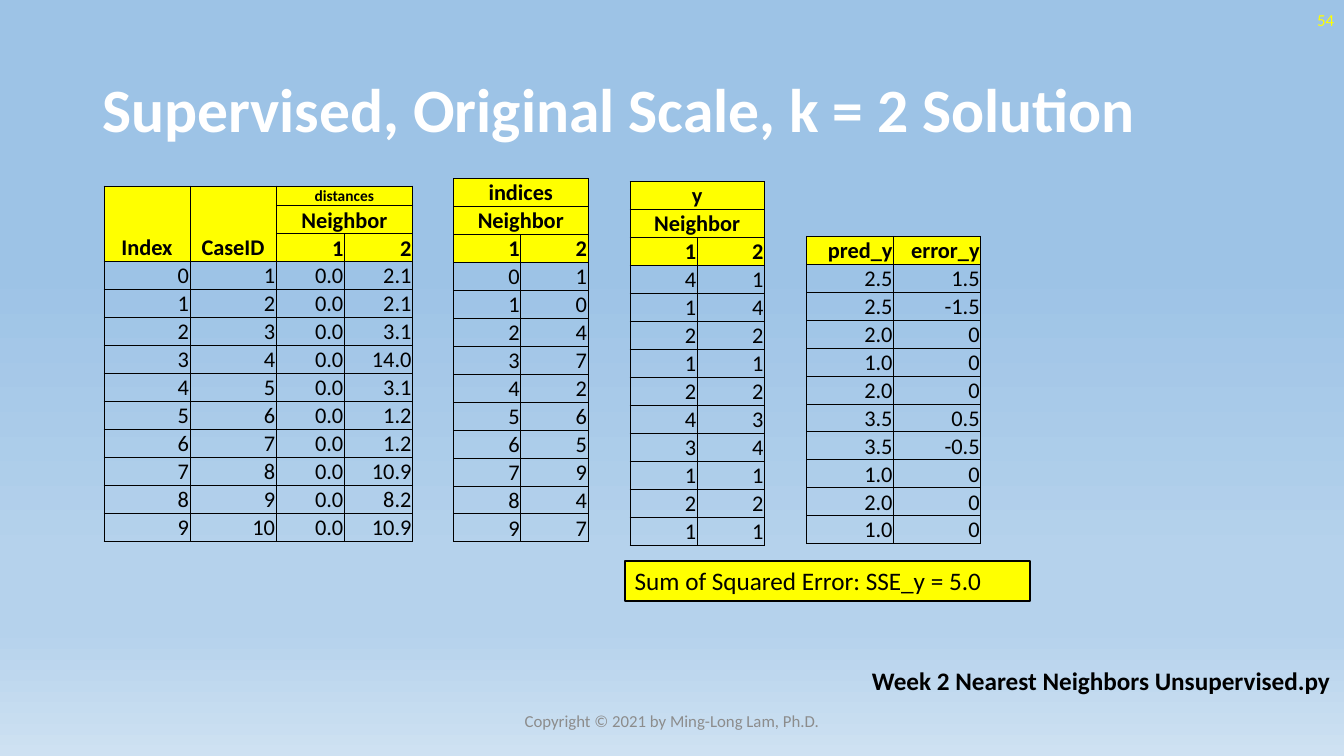
from dataclasses import dataclass

from lxml import etree
from pptx import Presentation
from pptx.dml.color import RGBColor
from pptx.enum.shapes import MSO_SHAPE
from pptx.enum.text import MSO_ANCHOR, MSO_AUTO_SIZE, PP_ALIGN
from pptx.oxml.ns import qn
from pptx.util import Emu, Pt

LEFT, CENTER, RIGHT = PP_ALIGN.LEFT, PP_ALIGN.CENTER, PP_ALIGN.RIGHT
TOP, MIDDLE, BOTTOM = MSO_ANCHOR.TOP, MSO_ANCHOR.MIDDLE, MSO_ANCHOR.BOTTOM
FIT_SHAPE = MSO_AUTO_SIZE.SHAPE_TO_FIT_TEXT
RECTANGLE = MSO_SHAPE.RECTANGLE

FONT = "Calibri"
COLORS = {"black": "000000", "white": "FFFFFF", "yellow": "FFFF00", "grey": "8C8C8C"}
SKY_STOPS = [(35, "9DC3E6"), (74, "B5D2EC"), (83, "B5D2EC"), (100, "CEE1F2")]
ROW_HEIGHT = 26
TABLE_SIZE = 16


@dataclass
class Caption:
    text: str
    box: tuple[int, int, int, int]
    size: int
    color: str = "black"
    bold: bool = False
    align: PP_ALIGN = LEFT
    anchor: MSO_ANCHOR = MIDDLE
    wrap: bool = True
    fit: bool = False
    spacing: float | None = None


@dataclass
class Grid:
    """A table; merges are (first row, first column, last row, last column)."""
    left: int
    top: int
    widths: list[int]
    header: list[list[str]]
    body: list[list[str]]
    merges: tuple = ()
    anchor: MSO_ANCHOR = BOTTOM
    top_row_height: int = ROW_HEIGHT


CAPTIONS = [
    Caption("Supervised, Original Scale, k = 2 Solution", (88, 38, 1104, 139), 44,
            "white", bold=True, spacing=0.9),
    Caption("54", (992, 0, 288, 38), 12, "yellow", align=RIGHT),
    Caption("Week 2 Nearest Neighbors Unsupervised.py", (821, 629, 459, 38), 18,
            bold=True, anchor=TOP, wrap=False, fit=True),
    Caption("Copyright © 2021 by Ming-Long Lam, Ph.D.", (424, 667, 432, 38), 12,
            "grey", align=CENTER),
]
SSE = Caption("Sum of Squared Error: SSE_y = 5.0", (595, 534, 386, 38), 18,
              anchor=TOP, fit=True)

SECOND_DISTANCES = "2.1 2.1 3.1 14.0 3.1 1.2 1.2 10.9 8.2 10.9".split()
SECOND_INDICES = "1 0 4 7 2 6 5 9 4 7".split()
Y = "4 1 2 1 2 4 3 1 2 1".split()
PREDICTIONS = "2.5 2.5 2.0 1.0 2.0 3.5 3.5 1.0 2.0 1.0".split()
ERRORS = "1.5 -1.5 0 0 0 0.5 -0.5 0 0 0".split()
PAIR_MERGES = ((0, 0, 0, 1), (1, 0, 1, 1))


def pair_header(name: str) -> list[list[str]]:
    return [[name, ""], ["Neighbor", ""], ["1", "2"]]


GRIDS = [
    Grid(99, 177, [82, 82, 65, 65],
         [["Index", "CaseID", "distances", ""], ["", "", "Neighbor", ""], ["", "", "1", "2"]],
         [[str(i), str(i + 1), "0.0", d] for i, d in enumerate(SECOND_DISTANCES)],
         ((0, 0, 2, 0), (0, 1, 2, 1), (0, 2, 0, 3), (1, 2, 1, 3)), top_row_height=19),
    Grid(432, 170, [64, 64], pair_header("indices"),
         [[str(i), second] for i, second in enumerate(SECOND_INDICES)],
         PAIR_MERGES, MIDDLE),
    Grid(600, 173, [64, 64], pair_header("y"),
         [[y, Y[int(second)]] for y, second in zip(Y, SECOND_INDICES)], PAIR_MERGES),
    Grid(768, 225, [83, 83], [["pred_y", "error_y"]],
         [list(pair) for pair in zip(PREDICTIONS, ERRORS)]),
]


def px(length: int) -> Emu:
    return Emu(length * 9525)


def rgb(name: str) -> RGBColor:
    return RGBColor.from_string(COLORS[name])


def style_paragraph(paragraph, size: int, color: str, bold: bool, align: PP_ALIGN) -> None:
    paragraph.alignment = align
    for run in paragraph.runs:
        run.font.name, run.font.size, run.font.bold = FONT, Pt(size), bold
        run.font.color.rgb = rgb(color)


def write_caption(shape, caption: Caption) -> None:
    frame = shape.text_frame
    frame.text = caption.text
    frame.word_wrap = caption.wrap
    frame.vertical_anchor = caption.anchor
    if caption.fit:
        frame.auto_size = FIT_SHAPE
    paragraph = frame.paragraphs[0]
    paragraph.line_spacing = caption.spacing
    style_paragraph(paragraph, caption.size, caption.color, caption.bold, caption.align)


def add_borders(cell) -> None:
    properties = cell._tc.get_or_add_tcPr()
    for position, side in enumerate(("lnL", "lnR", "lnT", "lnB")):
        line = etree.Element(qn(f"a:{side}"), w=str(Pt(0.5)))
        fill = etree.SubElement(line, qn("a:solidFill"))
        etree.SubElement(fill, qn("a:srgbClr"), val=COLORS["black"])
        properties.insert(position, line)


def style_cell(cell, text: str, is_header: bool, size: int, anchor: MSO_ANCHOR) -> None:
    cell.margin_left = cell.margin_right = cell.margin_top = px(1)
    cell.margin_bottom = 0
    cell.vertical_anchor = anchor
    if is_header:
        cell.fill.solid()
        cell.fill.fore_color.rgb = rgb("yellow")
    else:
        cell.fill.background()
    add_borders(cell)
    if text:
        cell.text_frame.text = text
        align = CENTER if cell.is_merge_origin else RIGHT
        style_paragraph(cell.text_frame.paragraphs[0], size, "black", is_header, align)


def add_grid(slide, grid: Grid) -> None:
    rows = grid.header + grid.body
    heights = [grid.top_row_height] + [ROW_HEIGHT] * (len(rows) - 1)
    table = slide.shapes.add_table(len(rows), len(grid.widths), px(grid.left), px(grid.top),
                                   px(sum(grid.widths)), px(sum(heights))).table
    table.first_row = table.horz_banding = False
    for column, width in zip(table.columns, grid.widths):
        column.width = px(width)
    for row, height in zip(table.rows, heights):
        row.height = px(height)
    for top, left, bottom, right in grid.merges:
        table.cell(top, left).merge(table.cell(bottom, right))
    for r, texts in enumerate(rows):
        for c, text in enumerate(texts):
            size = 11 if text == "distances" else TABLE_SIZE
            style_cell(table.cell(r, c), text, r < len(grid.header), size, grid.anchor)


def paint_sky(slide) -> None:
    fill = slide.background.fill
    fill.gradient()
    fill.gradient_angle = 270
    stops = next(slide._element.iter(qn("a:gsLst")))
    for stop in list(stops):
        stops.remove(stop)
    for percent, color in SKY_STOPS:
        stop = etree.SubElement(stops, qn("a:gs"), pos=str(percent * 1000))
        etree.SubElement(stop, qn("a:srgbClr"), val=color)


def main() -> None:
    deck = Presentation()
    deck.slide_width, deck.slide_height = px(1280), px(720)
    slide = deck.slides.add_slide(deck.slide_layouts[6])
    paint_sky(slide)
    for caption in CAPTIONS:
        write_caption(slide.shapes.add_textbox(*map(px, caption.box)), caption)
    for grid in GRIDS:
        add_grid(slide, grid)
    sse_box = slide.shapes.add_shape(RECTANGLE, *map(px, SSE.box))
    sse_box.shadow.inherit = False
    sse_box.fill.solid()
    sse_box.fill.fore_color.rgb = rgb("yellow")
    sse_box.line.color.rgb = rgb("black")
    sse_box.line.width = Pt(1.5)
    write_caption(sse_box, SSE)
    deck.save("out.pptx")


if __name__ == "__main__":
    main()
